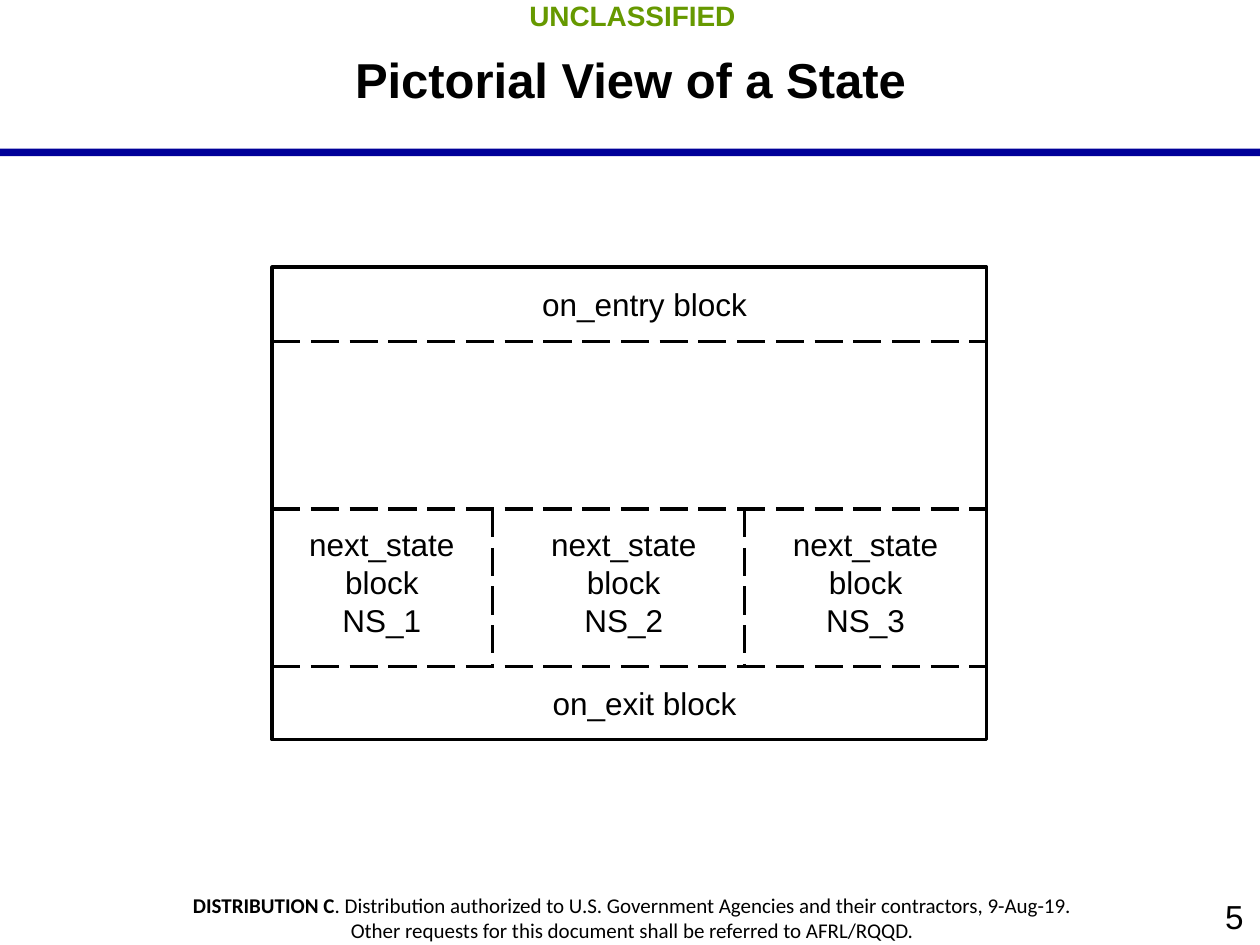
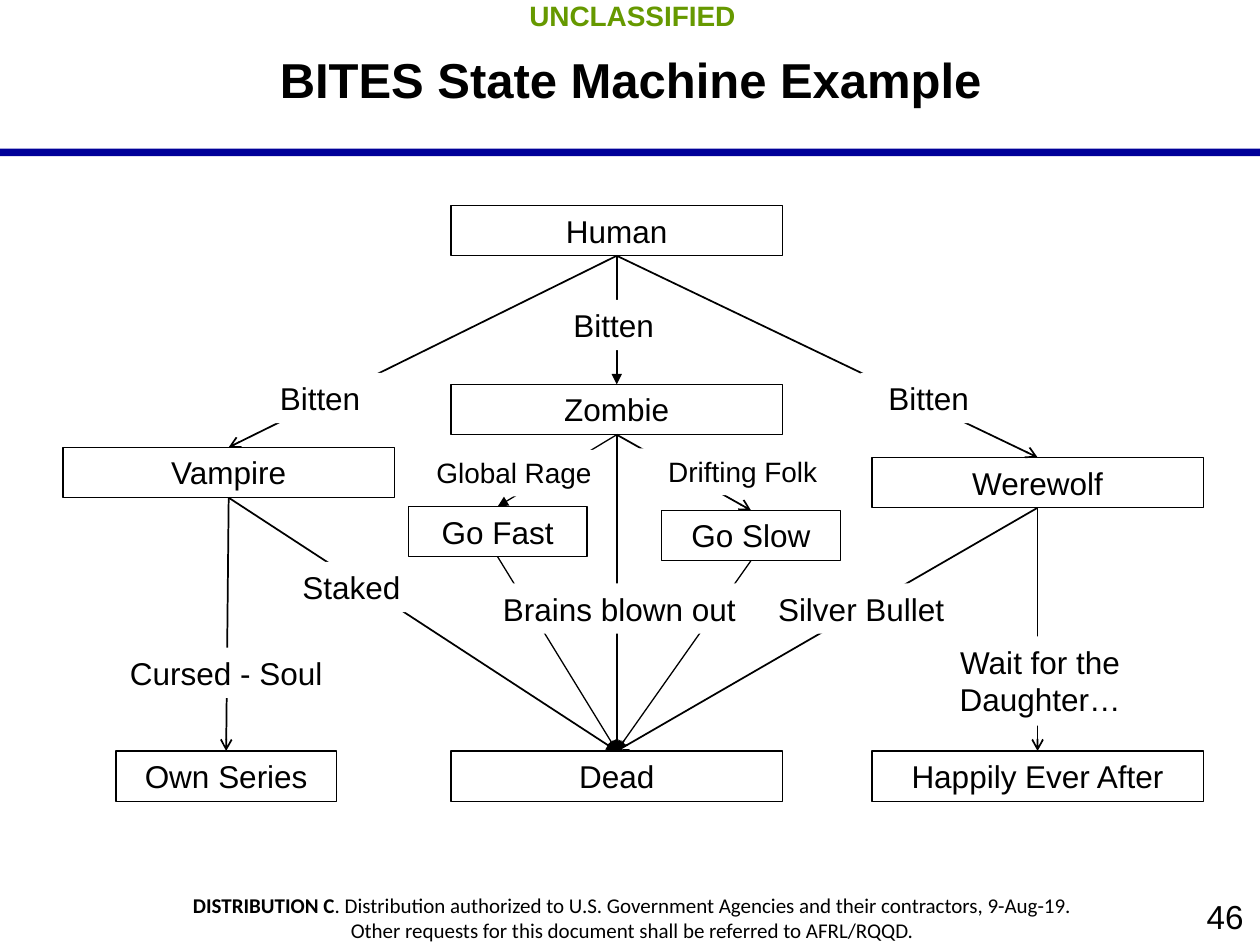
from lxml import etree
from pptx import Presentation
from pptx.dml.color import RGBColor
from pptx.enum.dml import MSO_LINE
from pptx.enum.shapes import MSO_CONNECTOR, MSO_SHAPE
from pptx.enum.text import MSO_ANCHOR, MSO_AUTO_SIZE, PP_ALIGN
from pptx.oxml.ns import qn
from pptx.util import Inches, Pt

BLACK = RGBColor(0x00, 0x00, 0x00)
WHITE = RGBColor(0xFF, 0xFF, 0xFF)
NAVY = RGBColor(0x00, 0x00, 0x99)
GREEN = RGBColor(0x66, 0x99, 0x00)
RECT, STRAIGHT = MSO_SHAPE.RECTANGLE, MSO_CONNECTOR.STRAIGHT
TOP, MIDDLE = MSO_ANCHOR.TOP, MSO_ANCHOR.MIDDLE
CENTER, RIGHT = PP_ALIGN.CENTER, PP_ALIGN.RIGHT
LONG_DASH, NO_AUTOSIZE = MSO_LINE.LONG_DASH, MSO_AUTO_SIZE.NONE
TITLE_ONLY = 5
BOX_H = 0.4
SITE_TOP, SITE_BOTTOM = 0, 2
WIDE_INSETS = (0.13, 0.07)

STATES = {
    "Human": (3.08, 0, 2.63),
    "Zombie": (3.08, 1.42, 2.63),
    "Vampire": (0, 1.92, 2.63),
    "Werewolf": (6.42, 2, 2.63),
    "Go Fast": (2.74, 2.39, 1.42),
    "Go Slow": (4.75, 2.42, 1.42),
    "Own Series": (0.42, 4.33, 1.75),
    "Dead": (3.08, 4.33, 2.63),
    "Happily Ever After": (6.42, 4.33, 2.63),
}
TRANSITIONS = [
    ("Go Slow", "Dead", 0.75, "triangle"),
    ("Go Fast", "Dead", 0.75, "triangle"),
    ("Zombie", "Go Fast", 0.75, "triangle"),
    ("Zombie", "Dead", 1, "triangle"),
    ("Human", "Zombie", 1, "triangle"),
    ("Zombie", "Go Slow", 1, "arrow"),
    ("Human", "Vampire", 1, "arrow"),
    ("Human", "Werewolf", 1, "arrow"),
    ("Vampire", "Dead", 1, "triangle"),
    ("Vampire", "Own Series", 1, "arrow"),
    ("Werewolf", "Dead", 1, "arrow"),
    ("Werewolf", "Happily Ever After", 1, "arrow"),
]
EVENTS = [
    ("Bitten", 3.83, 0.75, 1.08, BOX_H, 18),
    ("Bitten", 1.5, 1.33, 1.08, BOX_H, 18),
    ("Bitten", 6.33, 1.33, 1.08, BOX_H, 18),
    ("Global Rage", 2.8, 1.94, 1.56, 0.37, 16),
    ("Drifting Folk", 4.56, 1.93, 1.67, 0.37, 16),
    ("Staked", 1.58, 2.83, 1.42, BOX_H, 18),
    ("Brains blown out", 3.33, 3, 2.17, BOX_H, 18),
    ("Silver Bullet", 5.5, 3, 1.67, BOX_H, 18),
    ("Cursed - Soul", 0.42, 3.51, 1.75, BOX_H, 18),
    ("Wait for the Daughter…", 6.92, 3.42, 1.67, 0.71, 18),
]


def write(tf, *lines, size=18, font="Arial", color=BLACK, bold=False,
          align=CENTER, anchor=TOP, insets=(0.1, 0.05)):
    """Fill a text frame; a line is a string or a list of (text, bold) runs."""
    tf.word_wrap = True
    tf.auto_size = NO_AUTOSIZE
    tf.vertical_anchor = anchor
    tf.margin_left = tf.margin_right = Inches(insets[0])
    tf.margin_top = tf.margin_bottom = Inches(insets[1])
    for i, line in enumerate(lines):
        p = tf.add_paragraph() if i else tf.paragraphs[0]
        p.alignment = align
        for text, strong in [(line, bold)] if isinstance(line, str) else line:
            r = p.add_run()
            r.text = text
            r.font.size = Pt(size)
            r.font.name = font
            r.font.bold = strong
            r.font.color.rgb = color


def add_text(s, box, *lines, **fmt):
    """Add a text box with formatted lines."""
    write(s.shapes.add_textbox(*map(Inches, box)).text_frame, *lines, **fmt)


def add_rect(s, box, fill=None, line_width=None):
    """Add a rectangle with an optional fill and black outline."""
    sp = s.shapes.add_shape(RECT, *map(Inches, box))
    sp.shadow.inherit = False
    if fill is None:
        sp.fill.background()
    else:
        sp.fill.solid()
        sp.fill.fore_color.rgb = fill
    if line_width is None:
        sp.line.fill.background()
    else:
        sp.line.color.rgb = BLACK
        sp.line.width = Pt(line_width)
    return sp


def add_line(s, x1, y1, x2, y2, width):
    """Add a straight black connector without a shadow."""
    cx = s.shapes.add_connector(STRAIGHT, *map(Inches, (x1, y1, x2, y2)))
    cx.line.color.rgb = BLACK
    cx.line.width = Pt(width)
    etree.SubElement(cx._element.spPr, qn("a:effectLst"))
    return cx


def add_arrow(s, source, target, width, head):
    """Join the bottom of one box to the top of another with an arrow."""
    cx = add_line(s, 0, 0, 1, 1, width)
    cx.begin_connect(source, SITE_BOTTOM)
    cx.end_connect(target, SITE_TOP)
    etree.SubElement(cx.line._get_or_add_ln(), qn("a:tailEnd"), type=head)


def add_slide(prs, title, number):
    """Add a slide with the shared title, band, marking and footer."""
    s = prs.slides.add_slide(prs.slide_layouts[TITLE_ONLY])
    sp = s.shapes.title
    sp.left, sp.top, sp.width, sp.height = map(Inches, (1.38, 0, 7.25, 1.25))
    write(sp.text_frame, title, size=28, bold=True, anchor=MIDDLE, insets=WIDE_INSETS)
    add_rect(s, (0, 1.18, 10, 0.06), fill=NAVY)
    add_text(s, (0.02, -0.08, 10, 0.4), "UNCLASSIFIED", size=16, color=GREEN,
             bold=True, insets=WIDE_INSETS)
    add_text(s, (0.01, 7.01, 10.02, 0.54),
             [("DISTRIBUTION C", True),
              (". Distribution authorized to U.S. Government Agencies and their "
               "contractors, 9-Aug-19.", False)],
             "Other requests for this document shall be referred to AFRL/RQQD.",
             size=12, font="Calibri", insets=WIDE_INSETS)
    add_text(s, (8, 7.05, 2, 0.45), number, size=19, align=RIGHT,
             anchor=MIDDLE, insets=WIDE_INSETS)
    return s


def draw_state(s, x, y, w, h):
    """Draw a state as a box divided into blocks by dashed lines."""
    entry_y, next_y, exit_y = y + 0.59, y + 1.92, y + 3.17
    add_rect(s, (x, y, w, h), line_width=2)
    dividers = [(x, row, x + w, row) for row in (entry_y, next_y, exit_y)]
    dividers += [(x + col, next_y, x + col, exit_y) for col in (1.75, 3.75)]
    for ends in dividers:
        add_line(s, *ends, 2).line.dash_style = LONG_DASH
    for text, row in (("on_entry block", y), ("on_exit block", exit_y)):
        add_text(s, (x + 1.08, row + 0.09, 3.75, BOX_H), text)
    for i in range(3):
        add_text(s, (x + 0.08 + 1.92 * i, next_y + 0.08, 1.58, 1.01),
                 "next_state block", f"NS_{i + 1}")


def draw_machine(s, x, y):
    """Draw the states, their transitions and the events over them."""
    boxes = {}
    for name, (dx, dy, w) in STATES.items():
        boxes[name] = add_rect(s, (x + dx, y + dy, w, BOX_H), line_width=0.75)
        write(boxes[name].text_frame, name)
    for source, target, width, head in TRANSITIONS:
        add_arrow(s, boxes[source], boxes[target], width, head)
    for text, dx, dy, w, h, size in EVENTS:
        sp = add_rect(s, (x + dx, y + dy, w, h), fill=WHITE)
        write(sp.text_frame, text, size=size)


def main():
    """Build and save both slides."""
    prs = Presentation()
    prs.slide_width, prs.slide_height = Inches(10), Inches(7.5)
    draw_state(add_slide(prs, "Pictorial View of a State", "5"), 2.16, 2.12, 5.67, 3.75)
    draw_machine(add_slide(prs, "BITES State Machine Example", "46"), 0.5, 1.63)
    prs.save("out.pptx")


if __name__ == "__main__":
    main()
